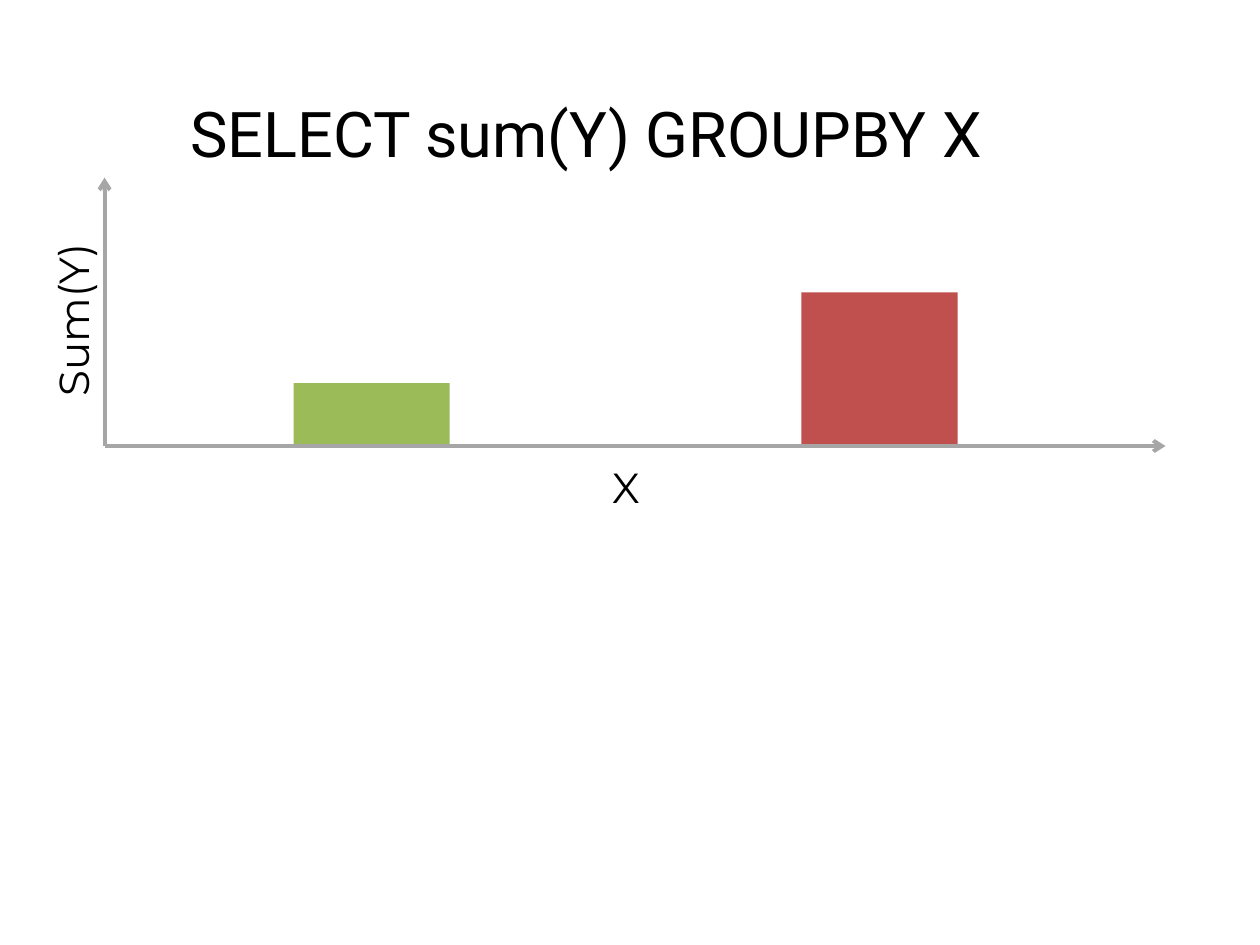
"""Build a slide with a bar sketch of a grouped sum query."""

from dataclasses import dataclass

import lxml.etree
import pptx
import pptx.dml.color
import pptx.enum.shapes
import pptx.enum.text
import pptx.oxml.ns
import pptx.shapes.autoshape
import pptx.slide
import pptx.util

EMU_PER_PX = 9144
BLACK = pptx.dml.color.RGBColor(0x00, 0x00, 0x00)
GREY = pptx.dml.color.RGBColor(0xA6, 0xA6, 0xA6)
RED = pptx.dml.color.RGBColor(0xC0, 0x50, 0x4D)
GREEN = pptx.dml.color.RGBColor(0x9B, 0xBB, 0x59)

ORIGIN_X, ORIGIN_Y = 83, 354
BAR_WIDTH = 124
TITLE_LAYOUT = 5


@dataclass(frozen=True)
class Bar:
    left: int
    height: int
    color: pptx.dml.color.RGBColor


@dataclass(frozen=True)
class Axis:
    end_x: int
    end_y: int


@dataclass(frozen=True)
class Label:
    text: str
    left: int
    top: int
    width: int
    height: int
    size: int
    font: str
    rotation: int = 0


BARS = [Bar(636, 122, RED), Bar(233, 50, GREEN)]
AXES = [Axis(ORIGIN_X, 141), Axis(925, ORIGIN_Y)]
TITLE = Label("SELECT sum(Y) GROUPBY X", 141, 70, 712, 71, 36, "Roboto")
AXIS_LABELS = [
    Label("Sum(Y)", -16, 226, 147, 50, 24, "Montserrat", 270),
    Label("X", 476, 361, 44, 50, 24, "Montserrat"),
]


def px(length: int) -> pptx.util.Emu:
    return pptx.util.Emu(length * EMU_PER_PX)


def draw_bar(slide: pptx.slide.Slide, bar: Bar) -> None:
    shape = slide.shapes.add_shape(
        pptx.enum.shapes.MSO_SHAPE.RECTANGLE,
        px(bar.left), px(ORIGIN_Y - bar.height), px(BAR_WIDTH), px(bar.height),
    )
    shape.shadow.inherit = False
    shape.fill.solid()
    shape.fill.fore_color.rgb = bar.color
    shape.line.fill.background()


def draw_axis(slide: pptx.slide.Slide, axis: Axis) -> None:
    connector = slide.shapes.add_connector(
        pptx.enum.shapes.MSO_CONNECTOR.STRAIGHT,
        px(ORIGIN_X), px(ORIGIN_Y), px(axis.end_x), px(axis.end_y),
    )
    connector.line.color.rgb = GREY
    connector.line.width = pptx.util.Pt(2.25)
    line = connector.line._get_or_add_ln()
    lxml.etree.SubElement(line, pptx.oxml.ns.qn("a:tailEnd"), type="arrow")
    properties = connector._element.spPr
    lxml.etree.SubElement(properties, pptx.oxml.ns.qn("a:effectLst"))


def write_label(shape: pptx.shapes.autoshape.Shape, label: Label) -> None:
    shape.left, shape.top = px(label.left), px(label.top)
    shape.width, shape.height = px(label.width), px(label.height)
    shape.rotation = label.rotation
    text_frame = shape.text_frame
    text_frame.text = label.text
    text_frame.word_wrap = False
    text_frame.auto_size = pptx.enum.text.MSO_AUTO_SIZE.SHAPE_TO_FIT_TEXT
    text_frame.vertical_anchor = pptx.enum.text.MSO_ANCHOR.TOP
    paragraph = text_frame.paragraphs[0]
    paragraph.alignment = pptx.enum.text.PP_ALIGN.LEFT
    font = paragraph.runs[0].font
    font.name = label.font
    font.size = pptx.util.Pt(label.size)
    font.color.rgb = BLACK


def main() -> None:
    presentation = pptx.Presentation()
    presentation.slide_width, presentation.slide_height = px(1000), px(750)
    slide = presentation.slides.add_slide(presentation.slide_layouts[TITLE_LAYOUT])
    for bar in BARS:
        draw_bar(slide, bar)
    for axis in AXES:
        draw_axis(slide, axis)
    write_label(slide.shapes.title, TITLE)
    for label in AXIS_LABELS:
        write_label(slide.shapes.add_textbox(0, 0, 0, 0), label)
    presentation.save("out.pptx")


if __name__ == "__main__":
    main()
